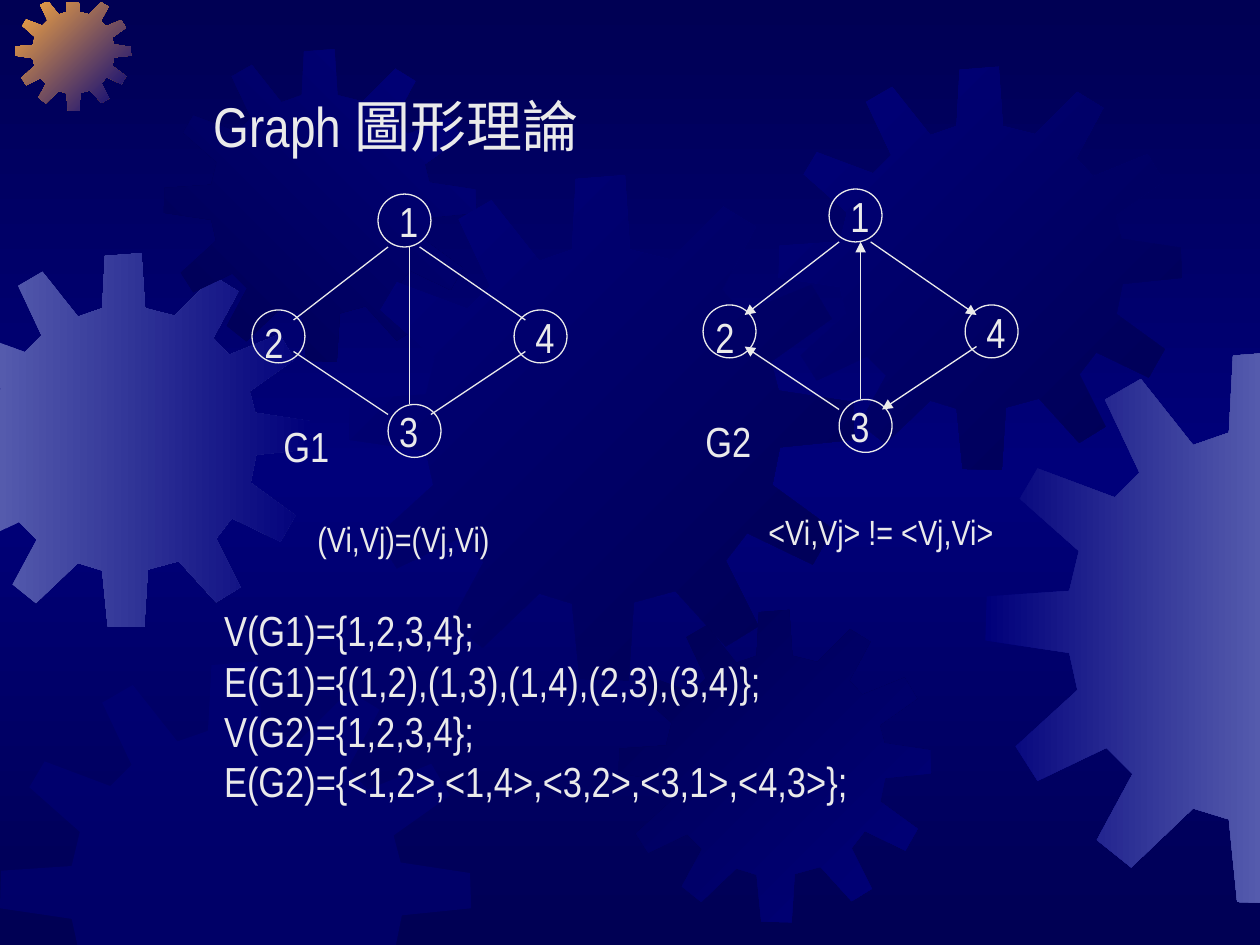
from copy import deepcopy
from dataclasses import dataclass

from lxml import etree
from pptx import Presentation
from pptx.dml.color import RGBColor
from pptx.enum.shapes import MSO_CONNECTOR, MSO_SHAPE
from pptx.enum.text import MSO_AUTO_SIZE
from pptx.oxml.ns import qn
from pptx.util import Inches, Pt

STRAIGHT = MSO_CONNECTOR.STRAIGHT
OVAL = MSO_SHAPE.OVAL
FIT_SHAPE = MSO_AUTO_SIZE.SHAPE_TO_FIT_TEXT

NAVY = RGBColor(0x00, 0x00, 0x54)
BLUE = RGBColor(0x00, 0x00, 0x7A)
LAVENDER = RGBColor(0x55, 0x5B, 0xAD)
ORANGE = RGBColor(0xFC, 0xAB, 0x40)
WHITE = RGBColor(0xEA, 0xEA, 0xEA)
FONT = "Arial Narrow"
DIAMETER = 0.42

# Twelve-toothed gear, drawn on a square of GEAR_UNITS
GEAR_UNITS = 401
GEAR_OUTLINE = [
    (255, 67), (223, 59), (219, 0), (180, 3), (177, 59), (151, 68),
    (113, 20), (87, 35), (112, 88), (94, 106), (38, 85), (25, 107),
    (68, 145), (61, 174), (1, 178), (0, 210), (61, 219), (67, 246),
    (22, 287), (38, 312), (88, 288), (107, 307), (81, 355), (106, 375),
    (151, 332), (177, 340), (183, 400), (222, 401), (226, 339), (259, 330),
    (299, 374), (325, 358), (299, 306), (316, 284), (368, 309), (384, 281),
    (336, 246), (342, 216), (401, 210), (400, 180), (341, 171), (335, 148),
    (383, 114), (367, 87), (313, 109), (296, 91), (323, 41), (297, 25),
]
# Gears are cut at these edges: axis, limit, side that is kept
EDGES = [(0, -0.01, 1), (0, 10.01, -1), (1, 0.02, 1), (1, 7.54, -1)]


@dataclass
class Gear:
    left: float
    top: float
    size: float
    colors: tuple[RGBColor, ...]
    angle: int = 0  # clockwise


@dataclass
class Node:
    label: str
    left: float
    top: float
    label_left: float
    label_top: float
    label_width: float = 0.35
    wrap: bool = False


@dataclass
class Text:
    lines: list[str]
    left: float
    top: float
    width: float
    height: float
    size: int = 24
    wrap: bool = False


GEARS = [
    Gear(-0.5, 2.01, 2.97, (LAVENDER, BLUE)),
    Gear(0.12, -0.04, 0.92, (ORANGE, BLUE), 45),
    Gear(1.3, 0.39, 2.48, (NAVY, BLUE), 315),
    Gear(2.77, 1.39, 4.01, (BLUE, NAVY), 45),
    Gear(0, 5.25, 3.74, (BLUE,)),
    Gear(4.91, 4.84, 2.48, (NAVY, BLUE), 45),
    Gear(6.18, 0.53, 3.2, (BLUE, NAVY), 45),
    Gear(7.82, 2.79, 4.38, (BLUE, LAVENDER)),
]
NODES = [
    Node("1", 3, 1.54, 3.07, 1.5),
    Node("2", 2, 2.46, 2, 2.46, DIAMETER, True),
    Node("3", 3.08, 3.21, 3.07, 3.17),
    Node("4", 4.08, 2.46, 4.15, 2.42),
]
LINKS = [
    (3.08, 1.96, 2.33, 2.54),
    (3.08, 3.29, 2.33, 2.79),
    (3.25, 3.21, 3.25, 1.96),
    (3.33, 1.96, 4.17, 2.54),
    (4.17, 2.79, 3.42, 3.29),
]
TITLE = Text(["Graph 圖形理論"], 1.6, 0.68, 3.2, 0.64, 32)
NOTES = [
    Text(["G1"], 2.15, 3.29, 0.6, 0.5),
    Text(["G2"], 5.5, 3.25, 0.6, 0.5),
    Text(["V(G1)={1,2,3,4};", "E(G1)={(1,2),(1,3),(1,4),(2,3),(3,4)};",
          "V(G2)={1,2,3,4};", "E(G2)={<1,2>,<1,4>,<3,2>,<3,1>,<4,3>};"],
         1.68, 4.75, 5.15, 1.7),
    Text(["(Vi,Vj)=(Vj,Vi)"], 2.42, 4.06, 1.57, 0.44, 20),
    Text(["<Vi,Vj> != <Vj,Vi>"], 6, 4, 1.99, 0.44, 20),
]


def clip(points: list, axis: int, limit: float, side: int) -> list:
    """Cut a polygon along one horizontal or vertical edge."""
    kept = []
    for start, end in zip(points, points[1:] + points[:1]):
        before, after = ((p[axis] - limit) * side for p in (start, end))
        if before >= 0:
            kept.append(start)
        if before * after < 0:
            share = before / (before - after)
            kept.append(tuple(a + (b - a) * share for a, b in zip(start, end)))
    return kept


def paint_gradient(fill, colors: tuple, angle: int) -> None:
    fill.gradient()
    fill.gradient_angle = (360 - angle) % 360
    for stop, color in zip(fill.gradient_stops, colors):
        stop.color.rgb = color


def paint_background(page) -> None:
    fill = page.background.fill
    paint_gradient(fill, (NAVY, NAVY), 90)
    stops = next(page.element.iter(qn("a:gsLst")))
    stops.insert(1, deepcopy(stops[0]))
    middle = fill.gradient_stops[1]
    middle.position = 0.5
    middle.color.rgb = BLUE


def draw_gear(page, gear: Gear) -> None:
    scale = gear.size / GEAR_UNITS
    points = [(gear.left + x * scale, gear.top + y * scale) for x, y in GEAR_OUTLINE]
    for edge in EDGES:
        points = clip(points, *edge)
    points = [(Inches(x), Inches(y)) for x, y in points]
    builder = page.shapes.build_freeform(*points[0])
    builder.add_line_segments(points[1:], close=True)
    shape = builder.convert_to_shape()
    shape.shadow.inherit = False
    shape.line.fill.background()
    if len(gear.colors) > 1:
        paint_gradient(shape.fill, gear.colors, gear.angle)
    else:
        shape.fill.solid()
        shape.fill.fore_color.rgb = gear.colors[0]
        color = next(shape.element.spPr.iter(qn("a:srgbClr")))
        etree.SubElement(color, qn("a:alpha"), val="50000")


def draw_text(shapes, text: Text) -> None:
    box = shapes.add_textbox(*map(Inches, (text.left, text.top, text.width, text.height)))
    frame = box.text_frame
    frame.word_wrap = text.wrap
    frame.auto_size = FIT_SHAPE
    frame.text = "\n".join(text.lines)
    for para in frame.paragraphs:
        para.font.name = FONT
        para.font.size = Pt(text.size)
        para.font.color.rgb = WHITE


def set_line(line) -> None:
    line.color.rgb = WHITE
    line.width = Pt(0.75)


def draw_graph(page, dx: float, dy: float, directed: bool) -> None:
    shapes = page.shapes.add_group_shape().shapes
    for node in NODES:
        circle = shapes.add_shape(OVAL, Inches(node.left + dx), Inches(node.top + dy),
                                  Inches(DIAMETER), Inches(DIAMETER))
        circle.shadow.inherit = False
        circle.fill.background()
        set_line(circle.line)
    for x1, y1, x2, y2 in LINKS:
        link = shapes.add_connector(STRAIGHT, Inches(x1 + dx), Inches(y1 + dy),
                                    Inches(x2 + dx), Inches(y2 + dy))
        set_line(link.line)
        properties = link.element.spPr
        if directed:
            etree.SubElement(properties.find(qn("a:ln")), qn("a:tailEnd"), type="triangle")
        etree.SubElement(properties, qn("a:effectLst"))
    for node in NODES:
        draw_text(shapes, Text([node.label], node.label_left + dx, node.label_top + dy,
                               node.label_width, 0.5, wrap=node.wrap))


def main() -> None:
    deck = Presentation()
    deck.slide_width, deck.slide_height = Inches(10), Inches(7.5)
    page = deck.slides.add_slide(deck.slide_layouts[6])

    # Backdrop
    paint_background(page)
    for gear in GEARS:
        draw_gear(page, gear)

    # Title, the two graphs and their notation
    draw_text(page.shapes, TITLE)
    draw_graph(page, 0, 0, directed=False)
    draw_graph(page, 3.58, -0.04, directed=True)
    for note in NOTES:
        draw_text(page.shapes, note)

    deck.save("out.pptx")


if __name__ == "__main__":
    main()
